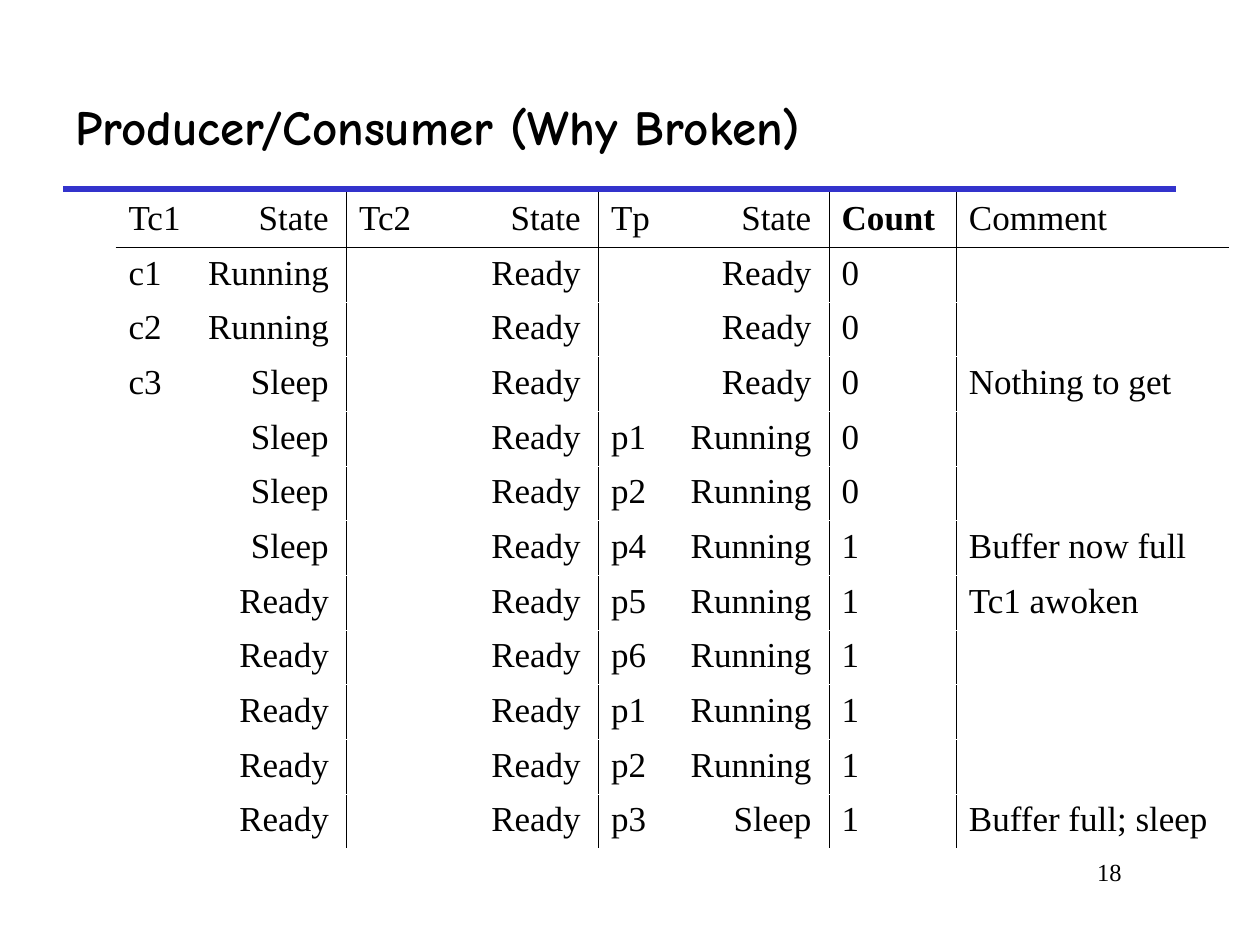
from lxml import etree
from pptx import Presentation
from pptx.dml.color import RGBColor
from pptx.enum import shapes, text
from pptx.oxml import ns
from pptx.util import Inches, Pt

BLACK = RGBColor(0x00, 0x00, 0x00)
WHITE = RGBColor(0xFF, 0xFF, 0xFF)
BLUE = RGBColor(0x33, 0x33, 0xCC)
TITLE_FONT = "Comic Neue"
BODY_FONT = "Times New Roman"

COL_WIDTHS = [1.83, 2, 1.83, 1.01, 2.16]
THREAD_COLS = 3
STATE_GAP = 0.24  # from a column's width to the tab stop of its state
HEADER = ["Tc1\tState", "Tc2\tState", "Tp\tState", "Count", "Comment"]
# Tc1, Tp, count, comment; Tc2 stays ready throughout
STEPS = [
    ("c1\tRunning", "\tReady", "0", ""),
    ("c2\tRunning", "\tReady", "0", ""),
    ("c3\tSleep", "\tReady", "0", "Nothing to get"),
    ("\tSleep", "p1\tRunning", "0", ""),
    ("\tSleep", "p2\tRunning", "0", ""),
    ("\tSleep", "p4\tRunning", "1", "Buffer now full"),
    ("\tReady", "p5\tRunning", "1", "Tc1 awoken"),
    ("\tReady", "p6\tRunning", "1", ""),
    ("\tReady", "p1\tRunning", "1", ""),
    ("\tReady", "p2\tRunning", "1", ""),
    ("\tReady", "p3\tSleep", "1", "Buffer full; sleep"),
]


def style(font, name, size, bold=False):
    font.name, font.size, font.bold = name, Pt(size), bold
    font.color.rgb = BLACK


def add_text(s, box, words, name, size, bold=False,
             align=text.PP_ALIGN.LEFT, anchor=text.MSO_ANCHOR.TOP):
    tf = s.shapes.add_textbox(*(Inches(v) for v in box)).text_frame
    tf.word_wrap = True
    tf.vertical_anchor = anchor
    p = tf.paragraphs[0]
    p.text = words
    p.alignment = align
    style(p.runs[0].font, name, size, bold)


def add_title_rule(s, x, y, width):
    line = s.shapes.add_connector(shapes.MSO_CONNECTOR.STRAIGHT, Inches(x),
                                  Inches(y), Inches(x + width), Inches(y))
    line.line.color.rgb = BLUE
    line.line.width = Pt(3)
    etree.SubElement(line._element.spPr, ns.qn("a:effectLst"))


def set_borders(cell, colors):
    tc_pr = cell._tc.get_or_add_tcPr()
    for i, (side, color) in enumerate(zip("LRTB", colors)):
        ln = etree.Element(ns.qn(f"a:ln{side}"), w=str(Pt(0.45)))
        fill = etree.SubElement(ln, ns.qn("a:solidFill"))
        etree.SubElement(fill, ns.qn("a:srgbClr"), val=str(color))
        tc_pr.insert(i, ln)


def add_state_tab(p, position):
    tabs = etree.SubElement(p._p.get_or_add_pPr(), ns.qn("a:tabLst"))
    etree.SubElement(tabs, ns.qn("a:tab"), pos=str(Inches(position)), algn="r")


def add_trace_table(s, x, y, width, height):
    rows = [HEADER] + [(tc1, "\tReady", *rest) for tc1, *rest in STEPS]
    last = len(COL_WIDTHS) - 1
    table = s.shapes.add_table(len(rows), len(COL_WIDTHS), Inches(x), Inches(y),
                               Inches(width), Inches(height)).table
    table.first_row = table.horz_banding = False
    for column, col_width in zip(table.columns, COL_WIDTHS):
        column.width = Inches(col_width)
    for r, row in enumerate(rows):
        table.rows[r].height = Inches(height / len(rows))
        for c, words in enumerate(row):
            cell = table.cell(r, c)
            cell.fill.background()
            # Column dividers and one line under the header
            set_borders(cell, (BLACK if c > 0 else WHITE,
                               BLACK if c < last else WHITE,
                               BLACK if r == 1 else WHITE,
                               BLACK if r == 0 else WHITE))
            p = cell.text_frame.paragraphs[0]
            if c < THREAD_COLS:
                add_state_tab(p, COL_WIDTHS[c] - STATE_GAP)
            p.text = words
            style(p.font, BODY_FONT, 20)
            for run in p.runs:
                style(run.font, BODY_FONT, 20, words == "Count")


def main():
    prs = Presentation()
    prs.slide_width, prs.slide_height = Inches(10), Inches(7.5)
    s = prs.slides.add_slide(prs.slide_layouts[6])

    # Heading and page number
    add_title_rule(s, 0.5, 1.5, 8.83)
    add_text(s, (7.58, 6.75, 1.42, 0.5), "18", BODY_FONT, 14,
             align=text.PP_ALIGN.RIGHT)
    add_text(s, (0.5, 0.5, 8.83, 1), "Producer/Consumer (Why Broken)",
             TITLE_FONT, 28, bold=True, anchor=text.MSO_ANCHOR.MIDDLE)

    # Thread states step by step
    add_trace_table(s, 0.92, 1.53, 8.83, 5.2)
    prs.save("out.pptx")


if __name__ == "__main__":
    main()
